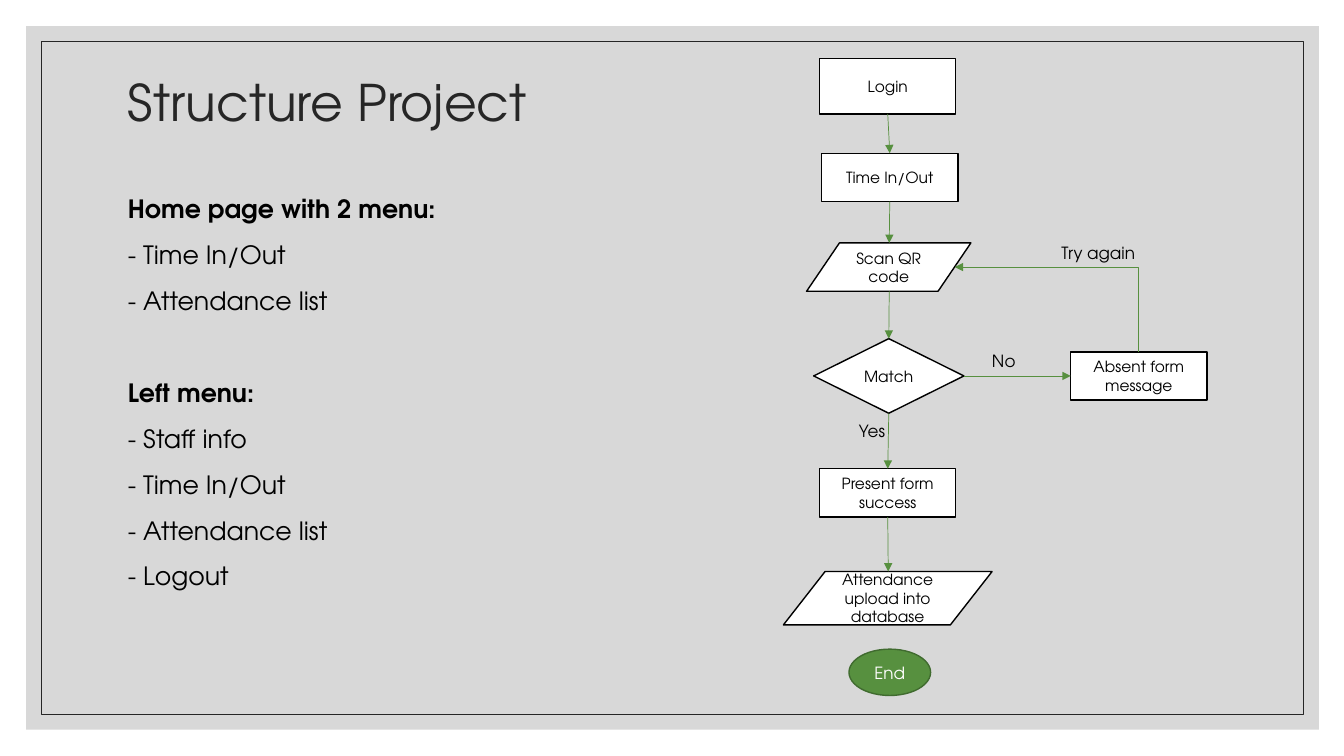
import pptx
import pptx.util
import pptx.dml.color
import pptx.enum.shapes
import pptx.enum.text
import pptx.oxml.ns
import lxml.etree

PX = 9144  # EMU per px, 100 px to the inch
FONT = "TeX Gyre Adventor"
RGB = pptx.dml.color.RGBColor
BLACK = RGB(0x00, 0x00, 0x00)
WHITE = RGB(0xFF, 0xFF, 0xFF)
INK = RGB(0x26, 0x26, 0x26)
PANEL_GRAY = RGB(0xBF, 0xBF, 0xBF)
GREEN = RGB(0x57, 0x90, 0x3F)
DARK_GREEN = RGB(0x40, 0x6B, 0x2F)
SHAPE = pptx.enum.shapes.MSO_SHAPE
CONNECTOR = pptx.enum.shapes.MSO_CONNECTOR
ANCHOR = pptx.enum.text.MSO_ANCHOR
ALIGN = pptx.enum.text.PP_ALIGN
TOP, BOTTOM, RIGHT, LEFT = 0, 2, 3, 1


def px(*lengths):
    return [pptx.util.Emu(length * PX) for length in lengths]


def sub(parent, tag, **attributes):
    return lxml.etree.SubElement(parent, pptx.oxml.ns.qn(tag), **attributes)


def style(paragraph, size, color=BLACK, bold=False):
    font = paragraph.font
    font.name, font.size, font.bold = FONT, pptx.util.Pt(size), bold
    font.color.rgb = color


def add_box(slide, kind, box, fill=None, line=None, weight=1):
    shape = slide.shapes.add_shape(kind, *px(*box))
    shape.shadow.inherit = False
    if fill is None:
        shape.fill.background()
    else:
        shape.fill.solid()
        shape.fill.fore_color.rgb = fill
    if line is None:
        shape.line.fill.background()
    else:
        shape.line.color.rgb = line
        shape.line.width = pptx.util.Pt(weight)
    return shape


def add_step(slide, kind, box, text, fill=WHITE, line=BLACK, size=11, color=BLACK):
    step = add_box(slide, kind, box, fill, line)
    step.text_frame.word_wrap = True
    step.text_frame.vertical_anchor = ANCHOR.MIDDLE
    paragraph = step.text_frame.paragraphs[0]
    paragraph.text = text
    paragraph.alignment = ALIGN.CENTER
    style(paragraph, size, color)
    return step


def add_arrow(slide, start, end, kind=CONNECTOR.STRAIGHT, arrow_end="a:tailEnd"):
    arrow = slide.shapes.add_connector(kind, *px(*start, *end))
    arrow.line.color.rgb = GREEN
    arrow.line.width = pptx.util.Pt(0.5)
    sub(arrow.line._get_or_add_ln(), arrow_end, type="triangle")
    sub(arrow._element.spPr, "a:effectLst")
    return arrow


def add_label(slide, box, text):
    frame = slide.shapes.add_textbox(*px(*box)).text_frame
    frame.word_wrap = False
    frame.auto_size = pptx.enum.text.MSO_AUTO_SIZE.SHAPE_TO_FIT_TEXT
    frame.text = text
    style(frame.paragraphs[0], 12)


def add_frame(slide):
    panel = add_box(slide, SHAPE.RECTANGLE, (26, 26, 1282, 698), PANEL_GRAY)
    tint = panel._element.spPr.find(".//" + pptx.oxml.ns.qn("a:srgbClr"))
    sub(tint, "a:alpha", val="60000")
    add_box(slide, SHAPE.RECTANGLE, (41, 41, 1252, 668), line=INK, weight=0.5)


def add_title(slide, text):
    frame = slide.shapes.add_textbox(*px(117, 40, 435, 128)).text_frame
    frame.word_wrap = True
    frame.vertical_anchor = ANCHOR.MIDDLE
    frame.text = text
    frame.paragraphs[0].line_spacing = 0.9
    style(frame.paragraphs[0], 36, INK)


def add_menus(slide, menus):
    frame = slide.shapes.add_textbox(*px(117, 184, 344, 467)).text_frame
    frame.word_wrap = True
    lines = [(text, row == 0) for menu in menus for row, text in enumerate(menu)]
    for index, (text, heading) in enumerate(lines):
        paragraph = frame.add_paragraph() if index else frame.paragraphs[0]
        paragraph.text = text
        paragraph.line_spacing = 1.1
        # A later heading stands one line further down
        paragraph.space_before = pptx.util.Pt(42 if heading and index else 9)
        style(paragraph, 18, bold=heading)


def add_flowchart(slide):
    # Steps
    login = add_step(slide, SHAPE.RECTANGLE, (813, 58, 135, 55), "Login")
    time = add_step(slide, SHAPE.RECTANGLE, (815, 152, 135, 48), "Time In/Out")
    add_step(slide, SHAPE.FLOWCHART_DATA, (800, 241, 163, 48), "Scan QR code")
    match = add_step(slide, SHAPE.DIAMOND, (807, 336, 149, 74), "Match")
    present = add_step(slide, SHAPE.RECTANGLE, (813, 465, 135, 48), "Present form success")
    absent = add_step(slide, SHAPE.RECTANGLE, (1062, 349, 135, 48), "Absent form message")
    add_step(slide, SHAPE.FLOWCHART_DATA, (777, 567, 207, 53),
             "Attendance upload into database")
    add_step(slide, SHAPE.OVAL, (842, 644, 81, 46), "End", GREEN, DARK_GREEN, 12, WHITE)

    # Arrows between steps, joined where they meet a rectangle or the diamond
    links = [
        ((881, 113), (882, 152), (login, BOTTOM), (time, TOP)),
        ((882, 200), (882, 241), (time, BOTTOM), None),
        ((882, 289), (882, 336), None, (match, TOP)),
        ((882, 410), (881, 465), (match, BOTTOM), (present, TOP)),
        ((956, 373), (1062, 373), (match, RIGHT), (absent, LEFT)),
        ((881, 513), (881, 567), (present, BOTTOM), None),
    ]
    for start, end, source, target in links:
        arrow = add_arrow(slide, start, end)
        if source:
            arrow.begin_connect(*source)
        if target:
            arrow.end_connect(*target)

    # Retry path: one corner, arrowhead at the scan step
    retry = add_arrow(slide, (947, 265), (1129, 349), CONNECTOR.ELBOW, "a:headEnd")
    retry._element.spPr.find(pptx.oxml.ns.qn("a:prstGeom")).set("prst", "bentConnector2")

    # Branch labels
    add_label(slide, (842, 412, 48, 30), "Yes")
    add_label(slide, (974, 343, 44, 30), "No")
    add_label(slide, (1043, 236, 94, 30), "Try again")


def main():
    deck = pptx.Presentation()
    deck.slide_width, deck.slide_height = px(1333, 750)
    slide = deck.slides.add_slide(deck.slide_layouts[6])
    add_frame(slide)
    add_title(slide, "Structure Project")
    add_menus(slide, [
        ["Home page with 2 menu:", "- Time In/Out", "- Attendance list"],
        ["Left menu:", "- Staff info", "- Time In/Out", "- Attendance list", "- Logout"],
    ])
    add_flowchart(slide)
    deck.save("out.pptx")


if __name__ == "__main__":
    main()
